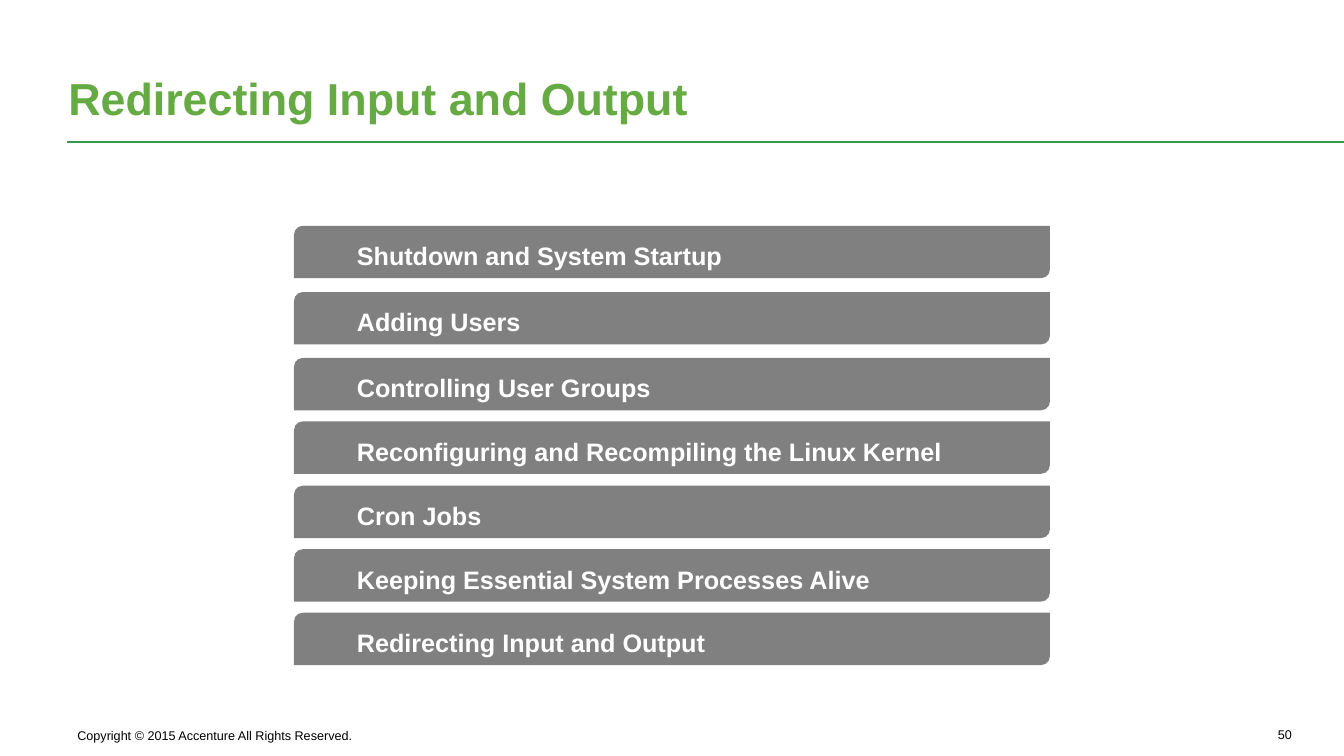
import dataclasses

import lxml.etree
import pptx
import pptx.dml.color
import pptx.enum.shapes
import pptx.enum.text
import pptx.oxml.ns
import pptx.util

Cm = pptx.util.Cm
Align = pptx.enum.text.PP_ALIGN


@dataclasses.dataclass(frozen=True)
class Theme:
    font: str = "Arial"
    title_color: str = "66AA44"
    rule_color: str = "359B4C"
    bar_color: str = "808080"
    bar_text_color: str = "FFFFFF"
    footer_color: str = "000000"
    title_size: int = 32
    bar_size: int = 18
    footer_size: int = 9


def rgb(value):
    return pptx.dml.color.RGBColor.from_string(value)


def write_text(frame, text, *, font, size, color, bold=False, align=Align.LEFT,
               spacing=1.0, level=0, indent=0):
    frame.word_wrap = True
    frame.auto_size = pptx.enum.text.MSO_AUTO_SIZE.NONE
    frame.vertical_anchor = pptx.enum.text.MSO_ANCHOR.BOTTOM
    frame.margin_left = frame.margin_right = Cm(0.25)
    frame.margin_top = frame.margin_bottom = Cm(0.13)
    para = frame.paragraphs[0]
    para.alignment = align
    para.line_spacing = spacing
    para.level = level
    if indent:
        properties = para._p.get_or_add_pPr()
        properties.set("marL", str(Cm(indent)))
        properties.set("indent", "0")
    span = para.add_run()
    span.text = text
    span.font.name = font
    span.font.size = pptx.util.Pt(size)
    span.font.bold = bold
    span.font.color.rgb = rgb(color)


class SlideBuilder:
    def __init__(self, page, theme):
        self.page = page
        self.theme = theme

    def title(self, text, left, top, width, height):
        box = self.page.shapes.title
        box.left, box.top = Cm(left), Cm(top)
        box.width, box.height = Cm(width), Cm(height)
        write_text(box.text_frame, text, font=self.theme.font, size=self.theme.title_size,
                   color=self.theme.title_color, bold=True, spacing=0.95)

    def rule(self, left, right, top):
        line = self.page.shapes.add_connector(
            pptx.enum.shapes.MSO_CONNECTOR.STRAIGHT, Cm(left), Cm(top), Cm(right), Cm(top))
        line.line.color.rgb = rgb(self.theme.rule_color)
        line.line.width = pptx.util.Pt(1)
        lxml.etree.SubElement(line._element.spPr, pptx.oxml.ns.qn("a:effectLst"))

    def footer(self, text, left, top, width, height, align=Align.LEFT):
        box = self.page.shapes.add_textbox(Cm(left), Cm(top), Cm(width), Cm(height))
        write_text(box.text_frame, text, font=self.theme.font, size=self.theme.footer_size,
                   color=self.theme.footer_color, align=align)

    def bar(self, text, left, top, width, height):
        box = self.page.shapes.add_shape(
            pptx.enum.shapes.MSO_SHAPE.ROUND_2_DIAG_RECTANGLE,
            Cm(left), Cm(top), Cm(width), Cm(height))
        box.shadow.inherit = False
        box.fill.solid()
        box.fill.fore_color.rgb = rgb(self.theme.bar_color)
        box.line.fill.background()
        write_text(box.text_frame, text, font=self.theme.font, size=self.theme.bar_size,
                   color=self.theme.bar_text_color, bold=True, spacing=0.8,
                   level=1, indent=1.27)


TOPICS = [
    (5.69, "Shutdown and System Startup"),
    (7.36, "Adding Users"),
    (9.02, "Controlling User Groups"),
    (10.62, "Reconfiguring and Recompiling the Linux Kernel"),
    (12.24, "Cron Jobs"),
    (13.84, "Keeping Essential System Processes Alive"),
    (15.44, "Redirecting Input and Output"),
]


def main():
    deck = pptx.Presentation()
    deck.slide_width, deck.slide_height = Cm(33.87), Cm(19.05)
    title_only = deck.slide_layouts.get_by_name("Title Only")
    builder = SlideBuilder(deck.slides.add_slide(title_only), Theme())

    builder.rule(1.7, 33.87, 3.58)
    builder.title("Redirecting Input and Output", 1.47, 0.53, 31.04, 2.77)
    builder.footer("50", 26.54, 18.08, 6.27, 0.76, align=Align.RIGHT)
    builder.footer("Copyright © 2015 Accenture All Rights Reserved.", 1.7, 17.58, 16.64, 1.27)
    for top, topic in TOPICS:
        builder.bar(topic, 7.41, top, 19.05, 1.32)

    deck.save("out.pptx")


if __name__ == "__main__":
    main()
